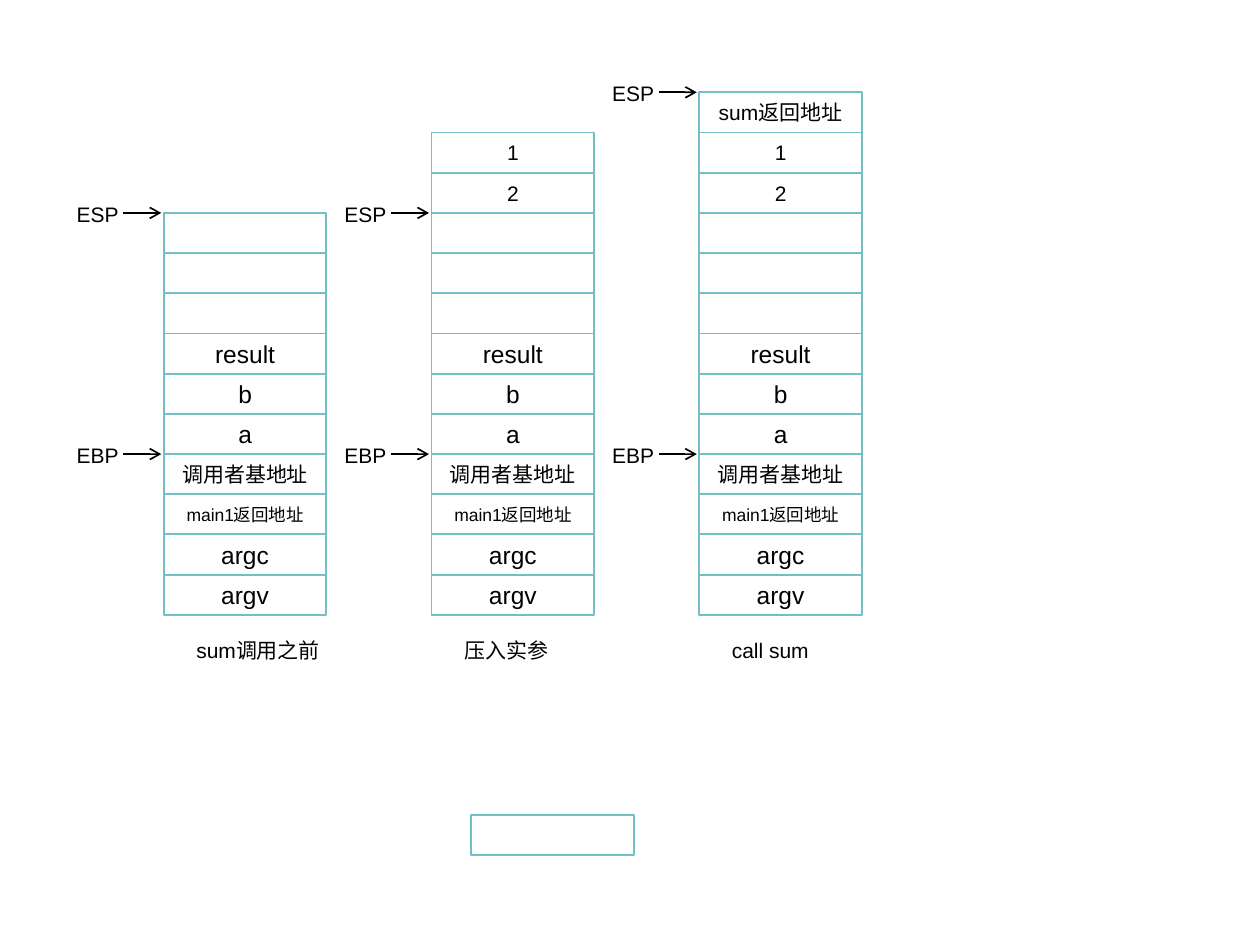
from pptx import Presentation
from pptx.dml.color import RGBColor
from pptx.enum.shapes import MSO_CONNECTOR, MSO_SHAPE
from pptx.enum.text import MSO_ANCHOR, MSO_AUTO_SIZE, PP_ALIGN
from pptx.oxml.ns import qn
from pptx.util import Inches, Pt
from lxml import etree

RECTANGLE = MSO_SHAPE.RECTANGLE
STRAIGHT = MSO_CONNECTOR.STRAIGHT
MIDDLE, TOP = MSO_ANCHOR.MIDDLE, MSO_ANCHOR.TOP
CENTER, LEFT = PP_ALIGN.CENTER, PP_ALIGN.LEFT
FIT_SHAPE = MSO_AUTO_SIZE.SHAPE_TO_FIT_TEXT

COLORS = {"text": "000000", "cell": "FFFFFF", "border": "72BFC5", "arrow": "000000"}

FRAME_LEFT, FRAME_TOP, FRAME_BOTTOM = 1.3, 1.69, 4.88
COLUMN_STEP = 4.25 / 2
CELL_WIDTH = 1.29
FRAME = [
    ("", 14), ("", 14), ("", 14), ("result", 14), ("b", 14), ("a", 14),
    ("调用者基地址", 12), ("main1返回地址", 10), ("argc", 14), ("argv", 14),
]
ROW = (FRAME_BOTTOM - FRAME_TOP) / len(FRAME)
EBP_ROW = 6
STACKS = [
    {"caption": "sum调用之前", "pushed": [], "esp_row": 0},
    {"caption": "压入实参", "pushed": ["2", "1"], "esp_row": 0},
    {"caption": "call sum", "pushed": ["2", "1", "sum返回地址"], "esp_row": -3},
]


def write_text(box, text, size=12, align=LEFT, anchor=TOP):
    frame = box.text_frame
    frame.word_wrap = True
    frame.vertical_anchor = anchor
    para = frame.paragraphs[0]
    para.alignment = align
    span = para.add_run()
    span.text = text
    span.font.size = Pt(size)
    span.font.name = "Arial"
    span.font.color.rgb = RGBColor.from_string(COLORS["text"])


def add_cell(page, left, top, text="", size=14):
    cell = page.shapes.add_shape(
        RECTANGLE, Inches(left), Inches(top), Inches(CELL_WIDTH), Inches(ROW))
    cell.shadow.inherit = False
    cell.fill.solid()
    cell.fill.fore_color.rgb = RGBColor.from_string(COLORS["cell"])
    cell.line.color.rgb = RGBColor.from_string(COLORS["border"])
    cell.line.width = Pt(1)
    if text:
        write_text(cell, text, size=size, align=CENTER, anchor=MIDDLE)


deck = Presentation()
deck.slide_width = Inches(10)
deck.slide_height = Inches(7.5)
page = deck.slides.add_slide(deck.slide_layouts[6])

add_cell(page, 3.74, 6.47)

for column, stack in enumerate(STACKS):
    left = FRAME_LEFT + column * COLUMN_STEP

    for row, (text, size) in enumerate(FRAME):
        add_cell(page, left, FRAME_TOP + row * ROW, text, size)
    for depth, text in enumerate(stack["pushed"], start=1):
        add_cell(page, left, FRAME_TOP - depth * ROW, text, 12)

    for register, row in (("EBP", EBP_ROW), ("ESP", stack["esp_row"])):
        level = FRAME_TOP + row * ROW
        arrow = page.shapes.add_connector(
            STRAIGHT, Inches(left - 0.32), Inches(level), Inches(left - 0.02), Inches(level))
        arrow.line.color.rgb = RGBColor.from_string(COLORS["arrow"])
        arrow.line.width = Pt(1)
        properties = arrow._element.spPr
        etree.SubElement(properties.find(qn("a:ln")), qn("a:tailEnd"), type="arrow")
        etree.SubElement(properties, qn("a:effectLst"))
        label = page.shapes.add_textbox(
            Inches(left - 0.79), Inches(level - 0.14), Inches(0.56), Inches(0.28))
        write_text(label, register)

    caption = page.shapes.add_textbox(
        Inches(left + 0.16), Inches(5.01), Inches(1.75), Inches(0.3))
    write_text(caption, stack["caption"])
    caption.text_frame.auto_size = FIT_SHAPE

deck.save("out.pptx")
